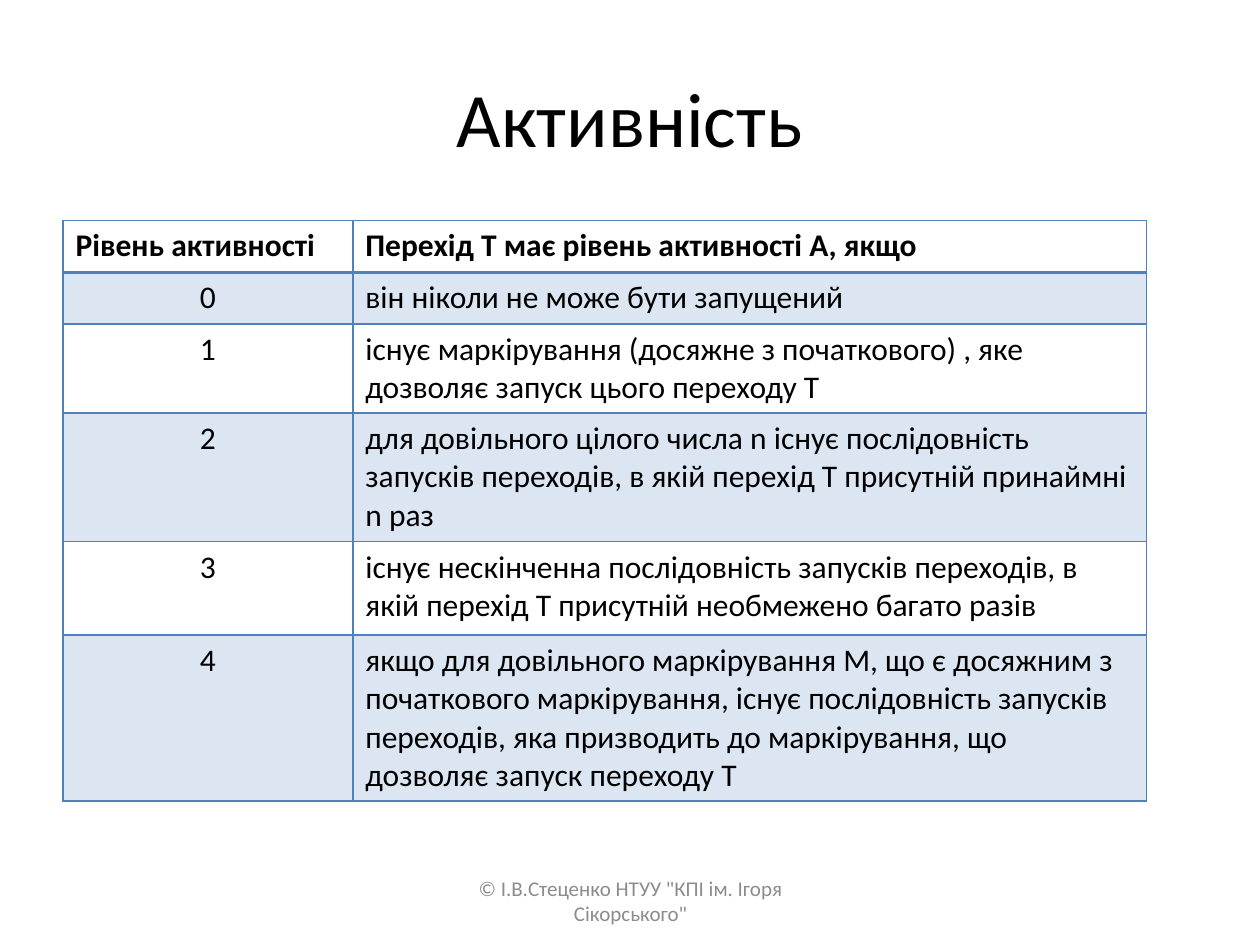
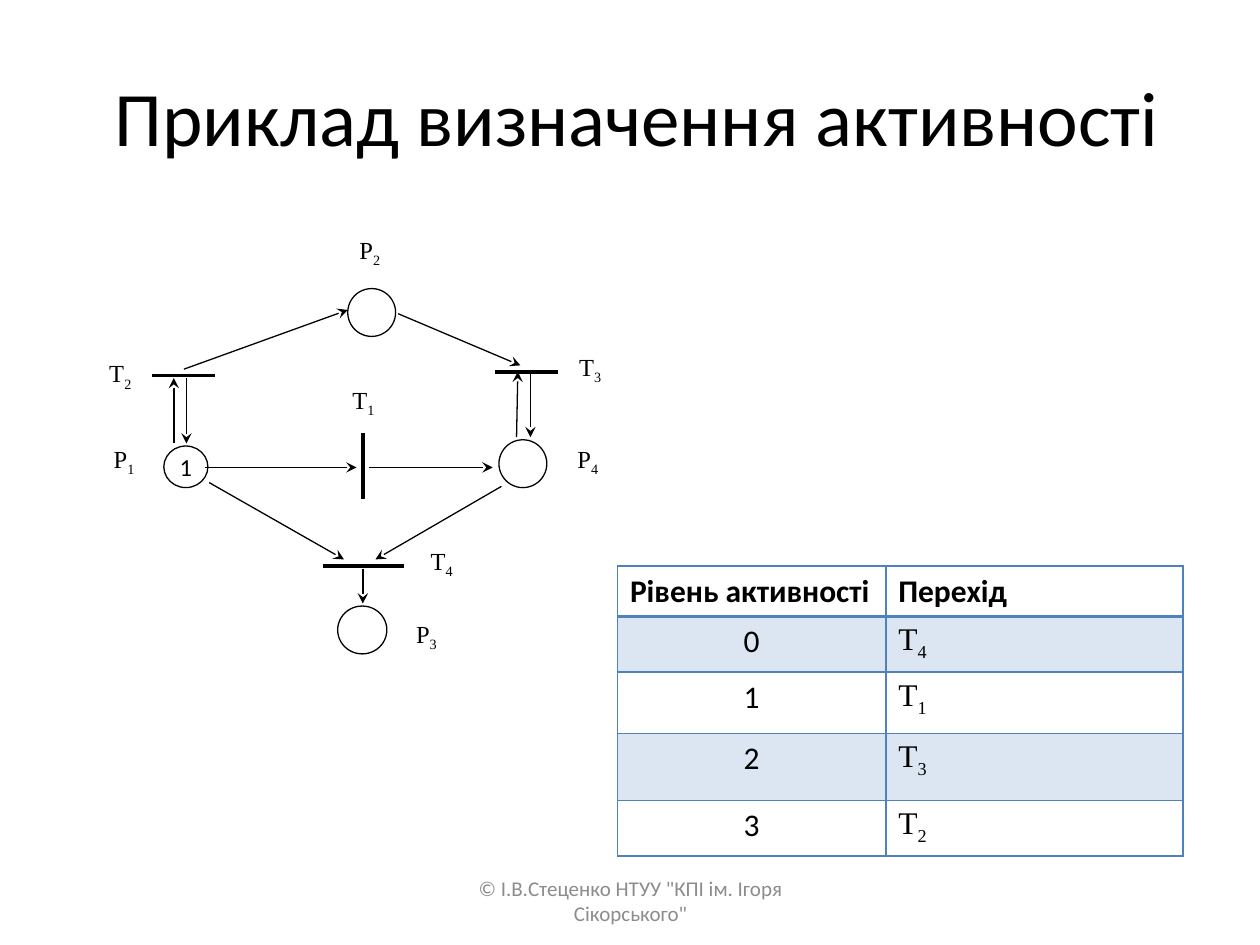
from dataclasses import dataclass

from lxml import etree
from pptx import Presentation
from pptx.dml.color import RGBColor
from pptx.enum.shapes import MSO_CONNECTOR, MSO_SHAPE
from pptx.enum.text import MSO_ANCHOR, PP_ALIGN
from pptx.oxml.ns import qn
from pptx.util import Inches, Pt

ELLIPSE = MSO_SHAPE.OVAL
RECTANGLE = MSO_SHAPE.RECTANGLE
STRAIGHT = MSO_CONNECTOR.STRAIGHT
MIDDLE = MSO_ANCHOR.MIDDLE
TOP = MSO_ANCHOR.TOP
CENTER = PP_ALIGN.CENTER
LEFT = PP_ALIGN.LEFT

SANS = "Calibri"
SERIF = "Times New Roman"
BLACK = "000000"
WHITE = "FFFFFF"
GRAY = "8C8C8C"
BORDER = "4F81BD"
BAND = "DCE6F2"
FOOTER = '© І.В.Стеценко НТУУ "КПІ ім. Ігоря Сікорського"'
LEVEL_HEADING = "Рівень активності"
THIN = 0.75
THICK = 2.25
LABEL_WIDTH = 0.45
LABEL_HEIGHT = 0.37


@dataclass(frozen=True)
class TextStyle:
    size: float
    font: str = SANS
    color: str = BLACK
    bold: bool = False


@dataclass(frozen=True)
class Symbol:
    letter: str
    index: str


@dataclass(frozen=True)
class Circle:
    left: float
    top: float
    width: float = 0.38
    height: float = 0.38
    tokens: str = ""


@dataclass(frozen=True)
class Label:
    symbol: Symbol
    left: float
    top: float


@dataclass(frozen=True)
class Segment:
    start: tuple[float, float]
    end: tuple[float, float]


TITLE_STYLE = TextStyle(44)
FOOTER_STYLE = TextStyle(12, color=GRAY)
HEADING_STYLE = TextStyle(18, bold=True)
CELL_STYLE = TextStyle(18)
SYMBOL_CELL_STYLE = TextStyle(18, SERIF)
LABEL_STYLE = TextStyle(14, SERIF)
TOKEN_STYLE = TextStyle(14)

ACTIVITY_ROWS = [
    (LEVEL_HEADING, "Перехід Т має рівень активності А, якщо"),
    ("0", "він ніколи не може бути запущений"),
    ("1", "існує маркірування (досяжне з початкового) , яке дозволяє запуск цього переходу Т"),
    ("2", "для довільного цілого числа n існує послідовність запусків переходів, "
          "в якій перехід Т присутній принаймні n раз"),
    ("3", "існує нескінченна послідовність запусків переходів, "
          "в якій перехід T присутній необмежено багато разів"),
    ("4", "якщо для довільного маркірування М, що є досяжним з початкового маркірування, "
          "існує послідовність запусків переходів, яка призводить до маркірування, "
          "що дозволяє запуск переходу Т"),
]
EXAMPLE_ROWS = [(LEVEL_HEADING, "Перехід")] + [
    (str(level), Symbol("Т", index)) for level, index in enumerate("4132")
]

PLACES = [
    Circle(1.3, 3.54, 0.35, 0.33, "1"),
    Circle(2.76, 2.29),
    Circle(2.68, 4.81, 0.39),
    Circle(3.96, 3.49),
]
LABELS = [
    Label(Symbol("Р", "1"), 0.76, 3.54),
    Label(Symbol("Р", "2"), 2.71, 1.88),
    Label(Symbol("Р", "3"), 3.16, 4.93),
    Label(Symbol("Р", "4"), 4.44, 3.54),
    Label(Symbol("Т", "1"), 2.66, 3.07),
    Label(Symbol("Т", "2"), 0.73, 2.86),
    Label(Symbol("Т", "3"), 4.46, 2.81),
    Label(Symbol("Т", "4"), 3.28, 4.35),
]
TRANSITIONS = [
    Segment((2.88, 3.96), (2.88, 3.44)),
    Segment((1.21, 2.98), (1.71, 2.98)),
    Segment((3.93, 2.95), (4.43, 2.95)),
    Segment((2.56, 4.49), (3.21, 4.49)),
]
ARCS = [
    Segment((1.63, 3.71), (2.83, 3.71)),
    Segment((2.93, 3.71), (3.91, 3.71)),
    Segment((1.46, 2.93), (2.76, 2.46)),
    Segment((3.16, 2.49), (4.13, 2.9)),
    Segment((1.38, 3.52), (1.38, 3)),
    Segment((1.48, 3), (1.48, 3.52)),
    Segment((4.1, 3.47), (4.11, 2.95)),
    Segment((4.21, 2.95), (4.21, 3.47)),
    Segment((1.66, 3.83), (2.73, 4.44)),
    Segment((3.98, 3.86), (2.98, 4.44)),
    Segment((2.88, 4.52), (2.88, 4.79)),
]


def rgb(color: str) -> RGBColor:
    return RGBColor.from_string(color)


def add_run(paragraph, text: str, style: TextStyle):
    run = paragraph.add_run()
    run.text = text
    run.font.size = Pt(style.size)
    run.font.name = style.font
    run.font.bold = style.bold
    run.font.color.rgb = rgb(style.color)
    return run


def add_symbol(paragraph, symbol: Symbol, style: TextStyle) -> None:
    add_run(paragraph, symbol.letter, style)
    index = add_run(paragraph, symbol.index, style)
    index.font._element.set("baseline", "-25000")


def add_text(slide, box: tuple[float, ...], text: str, style: TextStyle) -> None:
    frame = slide.shapes.add_textbox(*map(Inches, box)).text_frame
    frame.word_wrap = True
    frame.vertical_anchor = MIDDLE
    frame.paragraphs[0].alignment = CENTER
    add_run(frame.paragraphs[0], text, style)


def add_titled_slide(presentation, title: str, left: float, top: float):
    slide = presentation.slides.add_slide(presentation.slide_layouts[6])
    add_text(slide, (left, top, 9, 1.25), title, TITLE_STYLE)
    add_text(slide, (3.42, 6.95, 3.17, 0.4), FOOTER, FOOTER_STYLE)
    return slide


def set_borders(cell, row: int) -> None:
    properties = cell._tc.get_or_add_tcPr()
    widths = {"L": 1, "R": 1, "T": 2 if row == 1 else 1, "B": 2 if row == 0 else 1}
    for side, width in widths.items():
        line = etree.SubElement(properties, qn(f"a:ln{side}"), w=str(Pt(width)))
        fill = etree.SubElement(line, qn("a:solidFill"))
        etree.SubElement(fill, qn("a:srgbClr"), val=BORDER)


def add_level_table(slide, left: float, top: float, widths: list[float],
                    heights: list[float], rows: list[tuple]) -> None:
    table = slide.shapes.add_table(
        len(rows), len(widths), Inches(left), Inches(top),
        Inches(sum(widths)), Inches(sum(heights)),
    ).table
    table.first_row = False
    table.horz_banding = False
    for column, width in zip(table.columns, widths):
        column.width = Inches(width)
    for row_index, (height, values) in enumerate(zip(heights, rows)):
        table.rows[row_index].height = Inches(height)
        for column_index, value in enumerate(values):
            cell = table.cell(row_index, column_index)
            set_borders(cell, row_index)
            if row_index % 2:
                cell.fill.solid()
                cell.fill.fore_color.rgb = rgb(BAND)
            else:
                cell.fill.background()
            paragraph = cell.text_frame.paragraphs[0]
            paragraph.alignment = CENTER if row_index and not column_index else LEFT
            if isinstance(value, Symbol):
                add_symbol(paragraph, value, SYMBOL_CELL_STYLE)
            else:
                add_run(paragraph, value, CELL_STYLE if row_index else HEADING_STYLE)


def add_white_shape(slide, kind, box: tuple[float, ...], line_color: str):
    shape = slide.shapes.add_shape(kind, *map(Inches, box))
    shape.shadow.inherit = False
    shape.fill.solid()
    shape.fill.fore_color.rgb = rgb(WHITE)
    shape.line.color.rgb = rgb(line_color)
    shape.line.width = Pt(THIN)
    frame = shape.text_frame
    frame.margin_left = frame.margin_right = frame.margin_top = frame.margin_bottom = 0
    frame.vertical_anchor = TOP
    frame.paragraphs[0].alignment = CENTER
    return shape


def add_label(slide, label: Label) -> None:
    box = (label.left, label.top, LABEL_WIDTH, LABEL_HEIGHT)
    shape = add_white_shape(slide, RECTANGLE, box, WHITE)
    paragraph = shape.text_frame.paragraphs[0]
    paragraph.line_spacing = Pt(18)
    add_symbol(paragraph, label.symbol, LABEL_STYLE)


def add_place(slide, place: Circle) -> None:
    box = (place.left, place.top, place.width, place.height)
    shape = add_white_shape(slide, ELLIPSE, box, BLACK)
    if place.tokens:
        add_run(shape.text_frame.paragraphs[0], place.tokens, TOKEN_STYLE)


def add_segment(slide, segment: Segment, width: float, arrow: bool) -> None:
    connector = slide.shapes.add_connector(
        STRAIGHT, *map(Inches, segment.start + segment.end))
    connector.line.color.rgb = rgb(BLACK)
    connector.line.width = Pt(width)
    if arrow:
        etree.SubElement(connector.line._get_or_add_ln(), qn("a:tailEnd"), type="stealth")
    etree.SubElement(connector._element.spPr, qn("a:effectLst"))


def build_activity_slide(presentation) -> None:
    slide = add_titled_slide(presentation, "Активність", 0.5, 0.3)
    heights = [0.41, 0.41, 0.71, 1.02, 0.74, 1.32]
    add_level_table(slide, 0.5, 1.75, [2.3, 6.3], heights, ACTIVITY_ROWS)


def build_example_slide(presentation) -> None:
    slide = add_titled_slide(presentation, "Приклад визначення активності", 0.56, 0.29)
    for label in LABELS:
        add_label(slide, label)
    for place in PLACES:
        add_place(slide, place)
    for transition in TRANSITIONS:
        add_segment(slide, transition, THICK, arrow=False)
    for arc in ARCS:
        add_segment(slide, arc, THIN, arrow=True)
    heights = [0.4, 0.42, 0.49, 0.53, 0.42]
    add_level_table(slide, 4.9, 4.49, [2.13, 2.36], heights, EXAMPLE_ROWS)


def main() -> None:
    presentation = Presentation()
    presentation.slide_width = Inches(10)
    presentation.slide_height = Inches(7.5)
    build_activity_slide(presentation)
    build_example_slide(presentation)
    presentation.save("out.pptx")


if __name__ == "__main__":
    main()
